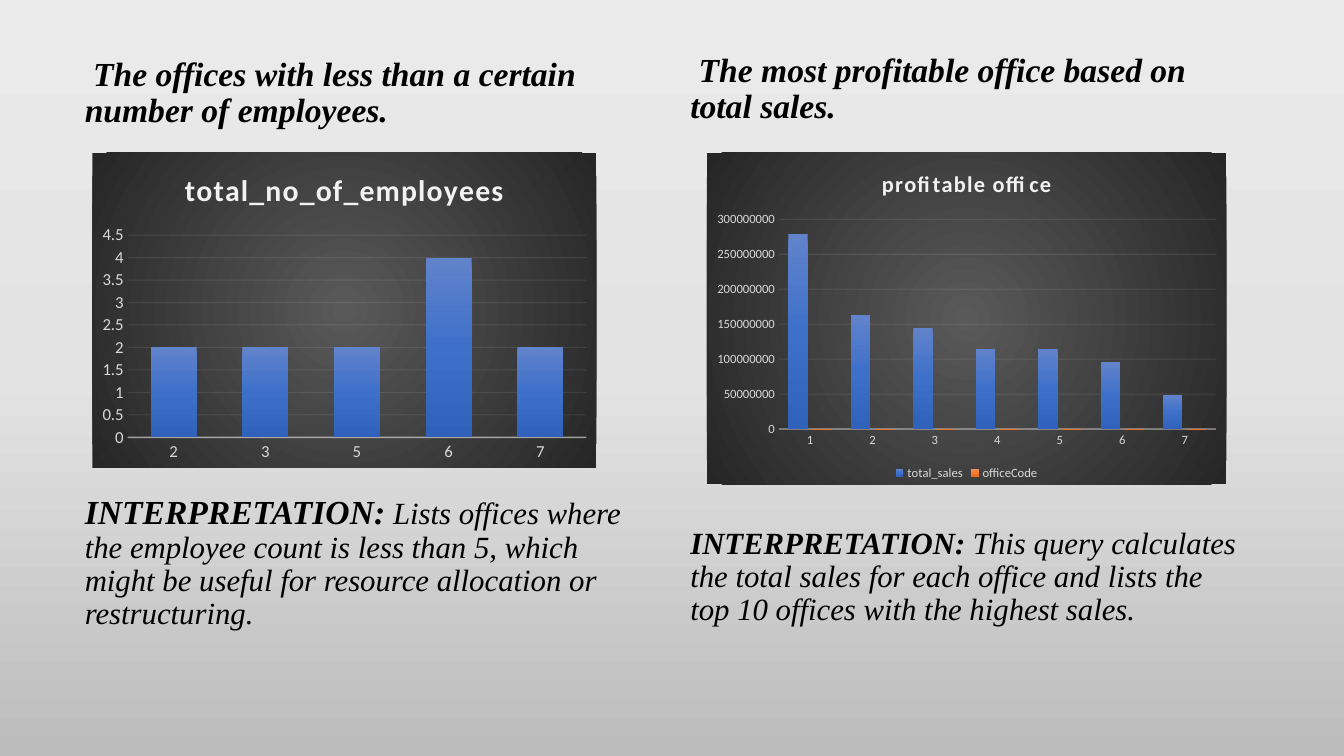
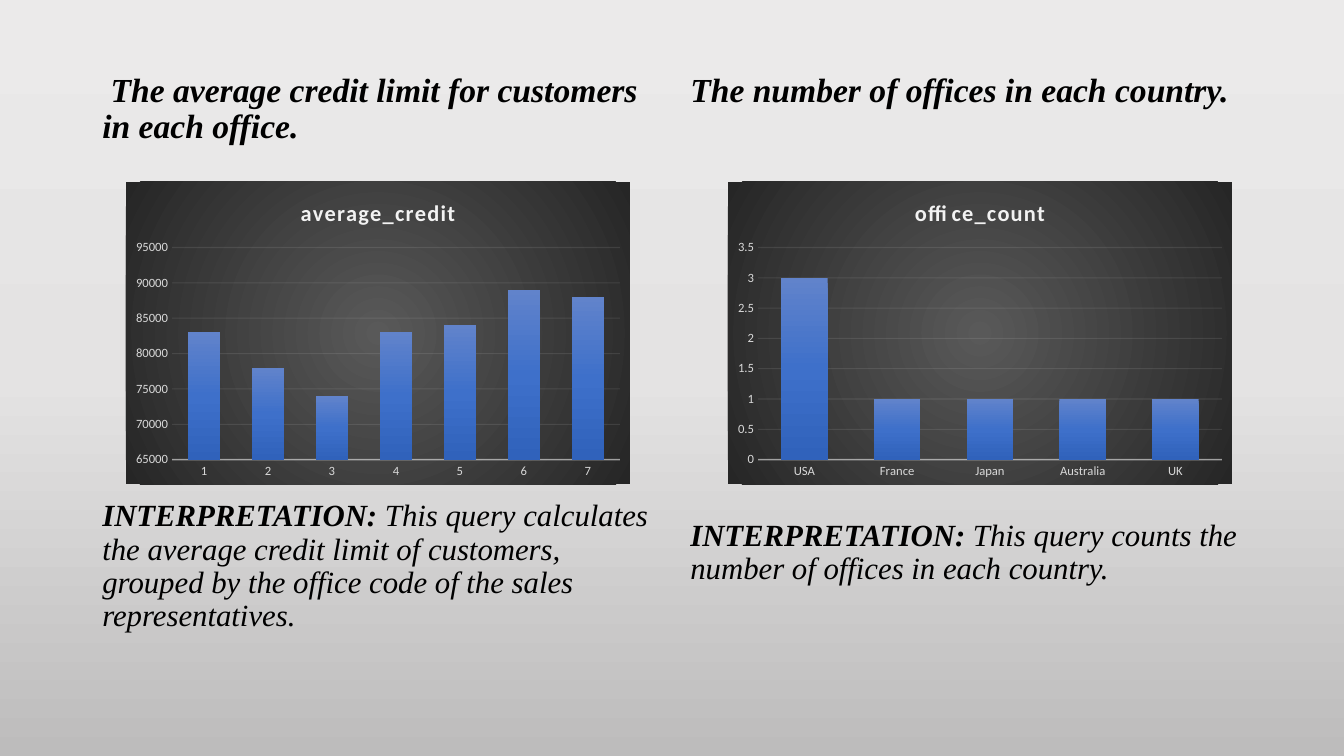
from dataclasses import dataclass

from lxml.etree import SubElement as Sub
from pptx import Presentation
from pptx.chart.data import CategoryChartData as Data
from pptx.dml.color import RGBColor as RGB
from pptx.enum.chart import XL_CHART_TYPE as Kind
from pptx.enum.chart import XL_LEGEND_POSITION as Place
from pptx.enum.chart import XL_TICK_MARK as Tick
from pptx.oxml import parse_xml
from pptx.oxml.ns import nsdecls, qn
from pptx.util import Pt


@dataclass(frozen=True)
class Theme:
    # Colours
    ink: str = "000000"
    light: str = "F2F2F2"
    label: str = "D9D9D9"
    back: tuple = ("EBEAEA", "E4E3E3", "BDBCBC")
    panel: tuple = ("595959", "262626")
    bars: tuple = (("6183CB", "3E70CA", "3062BB"),
                   ("F18C57", "F67B28", "E56C19"))
    # Type
    serif: str = "Times New Roman"
    sans: str = "Calibri"
    head: float = 24
    body: float = 22
    title: float = 16
    small: float = 9


def blend(stops, round_=False):
    """Build an evenly spaced gradient, downward or from the centre."""
    step = 100000 // (len(stops) - 1)
    marks = "".join(f'<a:gs pos="{i * step}"><a:srgbClr val="{c}"/></a:gs>'
                    for i, c in enumerate(stops))
    way = ('<a:path path="circle"><a:fillToRect l="50000" t="50000" '
           'r="50000" b="50000"/></a:path>' if round_
           else '<a:lin ang="5400000" scaled="0"/>')
    return parse_xml(f'<a:gradFill {nsdecls("a")} rotWithShape="1">'
                     f'<a:gsLst>{marks}</a:gsLst>{way}</a:gradFill>')


def paint(fill, root, stops):
    """Give a fill inside root a gradient."""
    fill.solid()
    fill.fore_color.rgb = RGB.from_string(stops[0])
    old = next(root.iter(qn("a:solidFill")))
    old.getparent().replace(old, blend(stops))


class Deck:
    def __init__(self, theme):
        self.theme = theme
        self.prs = Presentation()
        self.prs.slide_width, self.prs.slide_height = Pt(960), Pt(540)
        master = self.prs.slide_master
        paint(master.background.fill, master.element, theme.back)
        self.slide = None

    def page(self):
        self.slide = self.prs.slides.add_slide(self.prs.slide_layouts[6])

    def font(self, font, name, size, tint, bold=False, slant=False):
        font.name, font.size = name, Pt(size)
        font.bold, font.italic = bold, slant
        font.color.rgb = RGB.from_string(tint)

    def text(self, box, head, note, gap, lead):
        """Write a heading and, below a gap for the chart, its note."""
        th = self.theme
        frame = self.slide.shapes.add_textbox(*map(Pt, box)).text_frame
        frame.word_wrap = True
        frame.text = head
        top, low = frame.paragraphs[0], frame.add_paragraph()
        low.text = "INTERPRETATION:"
        low.add_run().text = " " + note
        low.space_before = Pt(gap)
        for para in (top, low):
            para.line_spacing = 0.9
        runs = (*top.runs, *low.runs)
        for run, size, bold in zip(runs, (th.head, lead, th.body),
                                   (True, True, False)):
            self.font(run.font, th.serif, size, th.ink, bold, True)

    def line(self, fmt, root, width, alpha):
        """Draw a light line that is partly see-through."""
        fmt.line.width = Pt(width)
        fmt.line.color.rgb = RGB.from_string(self.theme.light)
        tint = next(root.iter(qn("a:srgbClr")))
        Sub(tint, qn("a:alpha")).set("val", str(alpha * 1000))

    def chart(self, box, title, cats, rows, scale, size, big):
        th = self.theme
        data = Data()
        data.categories = cats
        for name, vals in rows.items():
            data.add_series(name, vals)
        chart = self.slide.shapes.add_chart(
            Kind.COLUMN_CLUSTERED, *map(Pt, box), data).chart
        root = chart.element
        self.font(chart.font, th.sans, 10, th.ink)

        # Panel
        panel = parse_xml(f'<c:spPr {nsdecls("c", "a")}>'
                          '<a:ln><a:noFill/></a:ln></c:spPr>')
        panel.insert(0, blend(th.panel, True))
        root.find(qn("c:chart")).addnext(panel)

        # Title
        chart.has_title = True
        frame = chart.chart_title.text_frame
        frame.text = title
        self.font(frame.paragraphs[0].runs[0].font, th.sans, big,
                  th.light, True)
        next(root.iter(qn("a:rPr"))).set("spc", "100")

        # Columns
        plot = chart.plots[0]
        plot.gap_width, plot.overlap = 100, -24
        plot.vary_by_categories = False
        for ser, node, stops in zip(plot.series, root.iter(qn("c:ser")),
                                    th.bars):
            paint(ser.format.fill, node, stops)

        # Axes
        cat, val = chart.category_axis, chart.value_axis
        for axis in (cat, val):
            axis.major_tick_mark = axis.minor_tick_mark = Tick.NONE
            self.font(axis.tick_labels.font, th.sans, size, th.label)
        self.line(cat.format, next(root.iter(qn("c:catAx"))), 1, 54)
        grid = val.major_gridlines
        self.line(grid.format, next(root.iter(qn("c:majorGridlines"))),
                  0.75, 10)
        val.format.line.fill.background()
        val.minimum_scale, val.maximum_scale, val.major_unit = scale

        # Legend
        chart.has_legend = len(rows) > 1
        if chart.has_legend:
            chart.legend.position = Place.BOTTOM
            chart.legend.include_in_layout = False
            self.font(chart.legend.font, th.sans, size, th.label)

    def panel(self, text_box, head, note, gap, chart_box, title, cats, rows,
              scale, lead=None, size=None, big=None):
        """Add one half of a slide: heading, chart and note."""
        th = self.theme
        self.text(text_box, head, note, gap, lead or th.body)
        self.chart(chart_box, title, cats, rows, scale,
                   size or th.small, big or th.title)


def main():
    deck = Deck(Theme())
    codes = [str(n) for n in range(1, 8)]

    # Staff and sales
    deck.page()
    deck.panel(
        (53.5, 37.5, 420.5, 455),
        " The offices with less than a certain number of employees.",
        "Lists offices where the employee count is less than 5, which might "
        "be useful for resource allocation or restructuring.",
        261, (66, 109, 360, 225), "total_no_of_employees",
        ["2", "3", "5", "6", "7"],
        {"total_no_of_employees": (2, 2, 2, 4, 2)},
        (0, 4.5, 0.5), lead=24, size=12, big=21.3)
    deck.panel(
        (486, 34.5, 408, 455),
        " The most profitable office based on total sales.",
        "This query calculates the total sales for each office and lists the "
        "top 10 offices with the highest sales.",
        287, (505, 109, 371, 237), "profitable office", codes,
        {"total_sales": [m * 1000000
                         for m in (279, 163, 144, 115, 115, 96, 48)],
         "officeCode": [0] * 7},
        (0, 300000000, 50000000))

    # Credit and countries
    deck.page()
    deck.panel(
        (66, 49, 408, 438),
        " The average credit limit for customers in each office.",
        "This query calculates the average credit limit of customers, "
        "grouped by the office code of the sales representatives.",
        253, (90, 130, 360, 216), "average_credit", codes,
        {"average_credit": [k * 1000
                            for k in (83, 78, 74, 83, 84, 89, 88)]},
        (65000, 95000, 5000))
    deck.panel(
        (486, 49, 408, 438),
        "The number of offices in each country.",
        "This query counts the number of offices in each country.",
        293, (520, 130, 360, 216), "office_count",
        ["USA", "France", "Japan", "Australia", "UK"],
        {"office_count": (3, 1, 1, 1, 1)}, (0, 3.5, 0.5))

    deck.prs.save("out.pptx")


if __name__ == "__main__":
    main()
